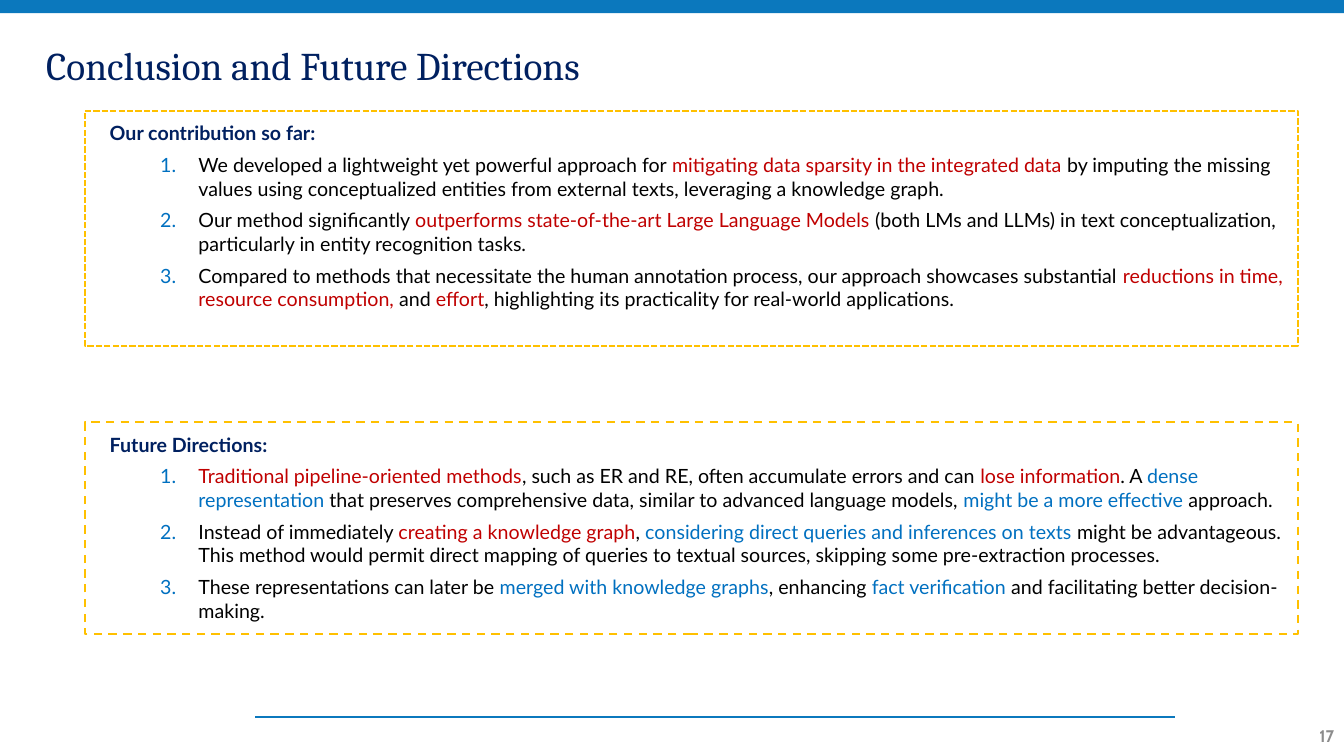
from dataclasses import dataclass

import pptx
import pptx.util
from lxml import etree
from pptx.dml.color import RGBColor
from pptx.enum.dml import MSO_LINE
from pptx.enum.shapes import MSO_CONNECTOR, MSO_SHAPE
from pptx.enum.text import MSO_ANCHOR, PP_ALIGN
from pptx.oxml.ns import qn
from pptx.util import Inches, Pt


@dataclass(frozen=True)
class Theme:
    bar: str = "0B78BD"
    navy: str = "002060"
    black: str = "000000"
    red: str = "C00000"
    blue: str = "0070C0"
    gold: str = "FFC000"
    grey: str = "8C8C8C"
    title_font: str = "Cambria"
    body_font: str = "Lato"
    number_font: str = "Cabin"
    title_size: int = 28
    body_size: int = 14
    number_size: int = 12
    line_width: float = 1.5


THEME = Theme()
BLACK, RED, BLUE = THEME.black, THEME.red, THEME.blue

# Each point is a list of (text, colour) phrases
CONTRIBUTIONS = [
    [("We developed a lightweight yet powerful approach for ", BLACK),
     ("mitigating data sparsity in the integrated data ", RED),
     ("by imputing the missing values using conceptualized entities from "
      "external texts, leveraging a knowledge graph.", BLACK)],
    [("Our method significantly ", BLACK),
     ("outperforms state-of-the-art Large Language Models ", RED),
     ("(both LMs and LLMs) in text conceptualization, particularly in entity "
      "recognition tasks.", BLACK)],
    [("Compared to methods that necessitate the human annotation process, our "
      "approach showcases substantial ", BLACK),
     ("reductions in time, resource consumption, ", RED),
     ("and", BLACK),
     (" effort", RED),
     (", highlighting its practicality for real-world applications.", BLACK)],
]
FUTURE_DIRECTIONS = [
    [("Traditional pipeline-oriented methods", RED),
     (", such as ER and RE, often accumulate errors and can ", BLACK),
     ("lose information", RED),
     (". A ", BLACK),
     ("dense representation ", BLUE),
     ("that preserves comprehensive data, similar to advanced language models, ", BLACK),
     ("might be a more effective", BLUE),
     (" approach.", BLACK)],
    [("Instead of immediately ", BLACK),
     ("creating a knowledge graph", RED),
     (", ", BLACK),
     ("considering direct queries and inferences on texts", BLUE),
     (" might be advantageous. This method would permit direct mapping of queries "
      "to textual sources, skipping some pre-extraction processes.", BLACK)],
    [("These representations can later be ", BLACK),
     ("merged with knowledge graphs", BLUE),
     (", enhancing ", BLACK),
     ("fact verification ", BLUE),
     ("and facilitating better decision-making.", BLACK)],
]


def rgb(colour):
    return RGBColor.from_string(colour)


def set_font(font, name, size, colour=None, bold=False):
    font.name, font.size, font.bold = name, Pt(size), bold
    if colour:
        font.color.rgb = rgb(colour)


def add_top_bar(slide, width):
    bar = slide.shapes.add_shape(MSO_SHAPE.RECTANGLE, 0, 0, width, Inches(0.13))
    bar.shadow.inherit = False
    bar.fill.solid()
    bar.fill.fore_color.rgb = rgb(THEME.bar)
    bar.line.fill.background()


def add_footer_rule(slide):
    rule = slide.shapes.add_connector(
        MSO_CONNECTOR.STRAIGHT, Inches(11.65), Inches(7.11), Inches(2.53), Inches(7.11))
    rule.line.color.rgb = rgb(THEME.bar)
    rule.line.width = Pt(THEME.line_width)
    etree.SubElement(rule._element.spPr, qn("a:effectLst"))


def add_label(slide, text, left, top, width, height):
    """Add one vertically centred line of text and return its frame."""
    label = slide.shapes.add_textbox(Inches(left), Inches(top), Inches(width), Inches(height))
    frame = label.text_frame
    frame.word_wrap = True
    frame.vertical_anchor = MSO_ANCHOR.MIDDLE
    frame.text = text
    return frame


def indent(paragraph, margin, hanging=0):
    properties = paragraph._p.get_or_add_pPr()
    properties.set("marL", str(Inches(margin)))
    properties.set("indent", str(-Inches(hanging)))
    return properties


def add_point(frame, phrases):
    point = frame.add_paragraph()
    point.level = 1
    point.alignment = PP_ALIGN.LEFT
    point.space_before = Pt(6)
    properties = indent(point, 1.03, 0.38)
    number_colour = etree.SubElement(properties, qn("a:buClr"))
    etree.SubElement(number_colour, qn("a:srgbClr"), val=THEME.blue)
    etree.SubElement(properties, qn("a:buFont"), typeface=THEME.body_font)
    etree.SubElement(properties, qn("a:buAutoNum"), type="arabicPeriod")
    set_font(point.font, THEME.body_font, THEME.body_size)
    for text, colour in phrases:
        phrase = point.add_run()
        phrase.text = text
        phrase.font.color.rgb = rgb(colour)


def add_panel(slide, heading_text, points, top, height, dash):
    panel = slide.shapes.add_shape(
        MSO_SHAPE.RECTANGLE, Inches(0.84), Inches(top), Inches(12.03), Inches(height))
    panel.shadow.inherit = False
    panel.fill.background()
    panel.line.color.rgb = rgb(THEME.gold)
    panel.line.width = Pt(THEME.line_width)
    panel.line.dash_style = dash

    frame = panel.text_frame
    frame.word_wrap = True
    frame.vertical_anchor = MSO_ANCHOR.TOP
    frame.margin_top = frame.margin_bottom = Inches(0.1)
    heading = frame.paragraphs[0]
    heading.text = heading_text
    heading.alignment = PP_ALIGN.LEFT
    heading.space_before = Pt(6)
    indent(heading, 0.15)
    set_font(heading.font, THEME.body_font, THEME.body_size, THEME.navy, bold=True)
    for phrases in points:
        add_point(frame, phrases)


def main():
    deck = pptx.Presentation()
    deck.slide_width, deck.slide_height = Inches(13.33), Inches(7.5)
    slide = deck.slides.add_slide(deck.slide_layouts[6])

    # Page frame
    add_top_bar(slide, deck.slide_width)
    add_footer_rule(slide)

    # Title
    title = add_label(slide, "Conclusion and Future Directions", 0.36, 0.37, 7.58, 0.61)
    title.paragraphs[0].line_spacing = 0.9
    set_font(title.paragraphs[0].font, THEME.title_font, THEME.title_size, THEME.navy)

    # Page number
    number = add_label(slide, "17", 12.97, 7.1, 0.36, 0.4)
    number.margin_left = 0
    number.paragraphs[0].alignment = PP_ALIGN.RIGHT
    set_font(number.paragraphs[0].font, THEME.number_font, THEME.number_size,
             THEME.grey, bold=True)

    # Content panels
    add_panel(slide, "Our contribution so far:", CONTRIBUTIONS,
              1.1, 2.33, MSO_LINE.SQUARE_DOT)
    add_panel(slide, "Future Directions:", FUTURE_DIRECTIONS,
              4.19, 2.1, MSO_LINE.DASH)

    deck.save("out.pptx")


if __name__ == "__main__":
    main()
